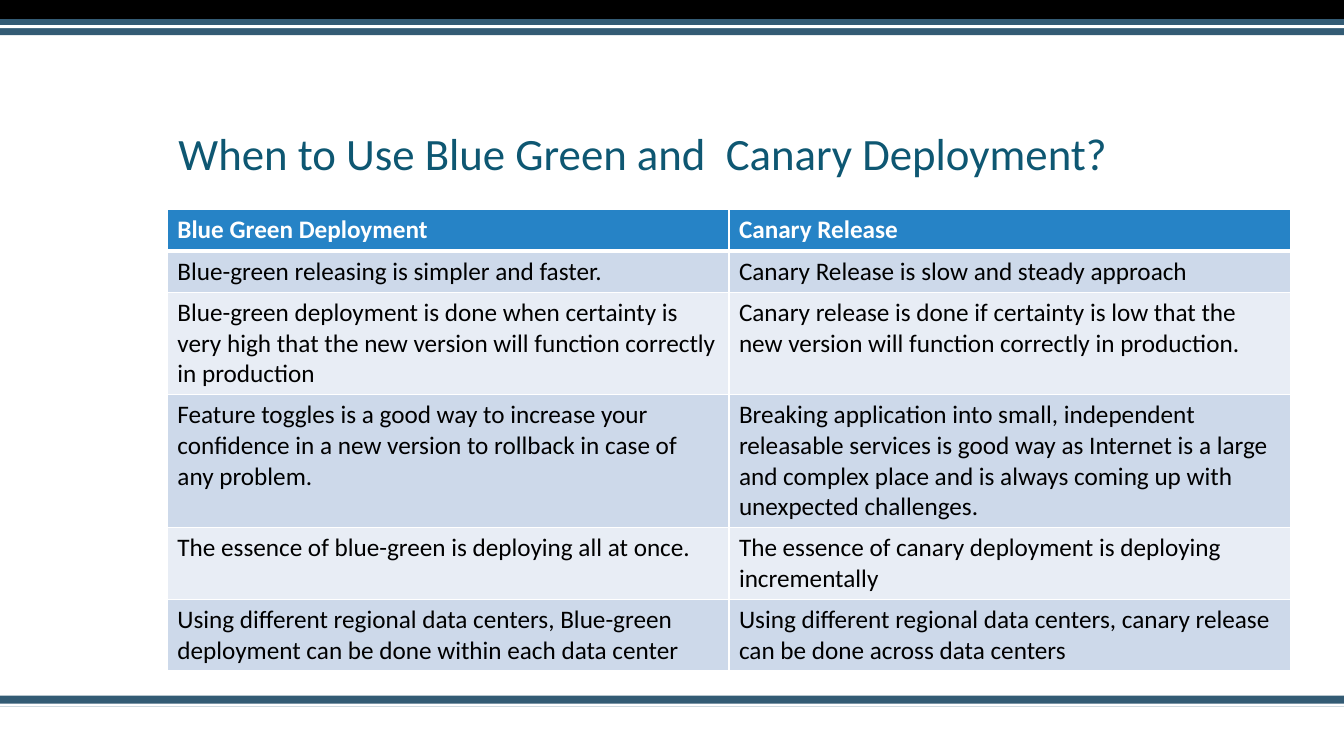
from pptx import Presentation
from pptx.dml.color import RGBColor
from pptx.enum.shapes import MSO_SHAPE
from pptx.enum.text import MSO_ANCHOR, PP_ALIGN
from pptx.oxml import parse_xml
from pptx.oxml.ns import nsdecls
from pptx.util import Inches, Pt

WIDTH, HEIGHT = 13.33, 7.5
BLACK, WHITE, SLATE = "000000", "FFFFFF", "335B74"
TEAL, HEADER_BLUE = "0E5772", "2683C6"
ROW_BANDS = ("E8EDF5", "CDD9EA")

BARS = [
    (6.9, 0.11, SLATE),
    (6.98, 0.03, WHITE),
    (0, 0.19, BLACK),
    (0.19, 0.16, SLATE),
    (0.25, 0.03, WHITE),
]

ROWS = [
    ("Blue Green Deployment", "Canary Release"),
    ("Blue-green releasing is simpler and faster.",
     "Canary Release is slow and steady approach"),
    ("Blue-green deployment is done when certainty is very high that the new "
     "version will function correctly in production",
     "Canary release is done if certainty is low that the new version will "
     "function correctly in production."),
    ("Feature toggles is a good way to increase your confidence in a new "
     "version to rollback in case of any problem.",
     "Breaking application into small, independent releasable services is good "
     "way as Internet is a large and complex place and is always coming up with "
     "unexpected challenges."),
    ("The essence of blue-green is deploying all at once.",
     "The essence of canary deployment is deploying incrementally"),
    ("Using different regional data centers, Blue-green deployment can be done "
     "within each data center",
     "Using different regional data centers, canary release can be done across "
     "data centers"),
]


def rgb(value):
    return RGBColor.from_string(value)


class SlideBuilder:
    font = "Calibri"

    def __init__(self, prs):
        self.s = prs.slides.add_slide(prs.slide_layouts[5])

    def style(self, p, size, color, bold=False):
        p.font.name = self.font
        p.font.size = Pt(size)
        p.font.bold = bold
        p.font.color.rgb = rgb(color)

    def bar(self, top, height, color):
        sp = self.s.shapes.add_shape(MSO_SHAPE.RECTANGLE, 0, Inches(top),
                                     Inches(WIDTH), Inches(height))
        sp.shadow.inherit = False
        sp.fill.solid()
        sp.fill.fore_color.rgb = rgb(color)
        sp.line.fill.background()

    def title(self, text, left, top, width, height):
        sp = self.s.shapes.title
        sp.left, sp.top = Inches(left), Inches(top)
        sp.width, sp.height = Inches(width), Inches(height)
        tf = sp.text_frame
        tf.text = text
        tf.word_wrap = True
        tf.vertical_anchor = MSO_ANCHOR.BOTTOM
        p = tf.paragraphs[0]
        p.alignment = PP_ALIGN.LEFT
        p.line_spacing = 0.9
        self.style(p, 32, TEAL)

    def borders(self, cell, widths):
        tcPr = cell._tc.get_or_add_tcPr()
        for side, width in widths.items():
            tcPr.append(parse_xml(
                f'<a:ln{side} {nsdecls("a")} w="{Pt(width)}"><a:solidFill>'
                f'<a:srgbClr val="{WHITE}"/></a:solidFill></a:ln{side}>'))

    def table(self, rows, left, top, width, row_height):
        frame = self.s.shapes.add_table(
            len(rows), len(rows[0]), Inches(left), Inches(top),
            Inches(width), Inches(row_height * len(rows)))
        for i, row in enumerate(rows):
            header = i == 0
            for j, text in enumerate(row):
                cell = frame.table.cell(i, j)
                cell.text = text
                self.style(cell.text_frame.paragraphs[0], 18,
                           WHITE if header else BLACK, header)
                self.borders(cell, {"L": 1, "R": 1, "T": 3 if i == 1 else 1,
                                    "B": 3 if header else 1})
                cell.fill.solid()
                cell.fill.fore_color.rgb = rgb(
                    HEADER_BLUE if header else ROW_BANDS[i % 2])


def main():
    prs = Presentation()
    prs.slide_width, prs.slide_height = Inches(WIDTH), Inches(HEIGHT)
    slide = SlideBuilder(prs)
    for bar in BARS:
        slide.bar(*bar)
    slide.title("When to Use Blue Green and  Canary Deployment?",
                1.67, 0.67, 10, 1.17)
    slide.table(ROWS, 1.66, 2.08, 11.14, 0.41)
    prs.save("out.pptx")


if __name__ == "__main__":
    main()
